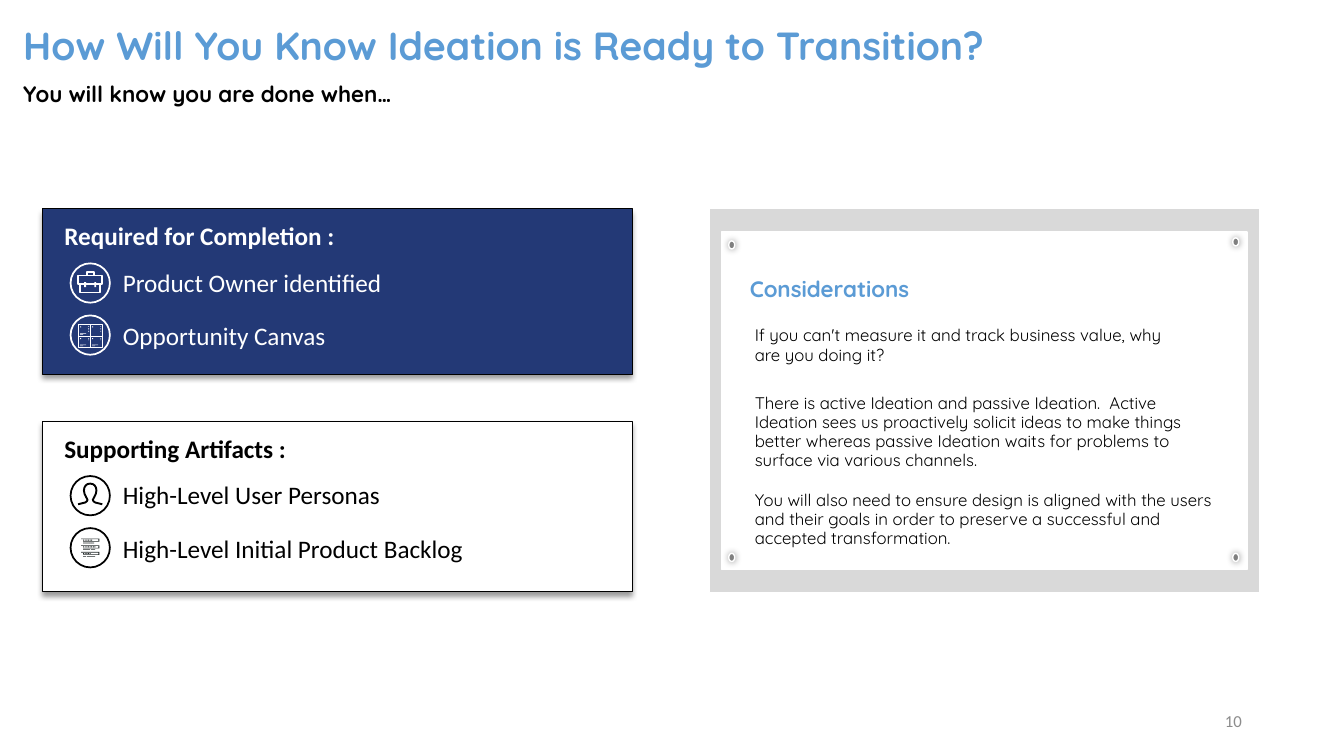
import collections
import pptx
import pptx.util
import pptx.dml.color
import pptx.enum.shapes
import pptx.enum.text
import pptx.oxml
import pptx.oxml.ns

CELL = pptx.util.Inches(1) / 12
COLS, ROWS = 160, 90
TONE = {"sky": "5B9BD5", "navy": "233976", "white": "FFFFFF", "black": "000000",
        "frame": "D9D9D9", "pin": "808080", "ink": "222829", "page": "8C8C8C"}
FORM = pptx.enum.shapes.MSO_SHAPE
SIDE = pptx.enum.text.PP_ALIGN
HOLD = pptx.enum.text.MSO_ANCHOR


class Box(collections.namedtuple("Box", "x y w h")):
    def inner(self, x, y, w, h):
        return Box(self.x + x, self.y + y, w, h)

    def tile(self, x, y, w, h):
        unit = self.w / 40
        return self.inner(x * unit, y * unit, w * unit, h * unit)

    def size(self):
        return [round(n * CELL) for n in self]


def hue(name):
    return pptx.dml.color.RGBColor.from_string(TONE[name])


def shade(shape, blur, dist):
    point = pptx.util.Pt(1)
    shape._element.spPr.append(pptx.oxml.parse_xml(
        f'<a:effectLst {pptx.oxml.ns.nsdecls("a")}>'
        f'<a:outerShdw blurRad="{blur * point}" dist="{dist * point}" dir="5400000" '
        f'algn="ctr" rotWithShape="0"><a:srgbClr val="{TONE["black"]}">'
        '<a:alpha val="40000"/></a:srgbClr></a:outerShdw></a:effectLst>'))


def paint(shape, fill=None, line=None, width=1):
    if fill:
        shape.fill.solid()
        shape.fill.fore_color.rgb = hue(fill)
    else:
        shape.fill.background()
    if line:
        shape.line.color.rgb = hue(line)
        shape.line.width = pptx.util.Pt(width)
    else:
        shape.line.fill.background()


def draw(pool, form, box, fill, line=None, width=1, cast=None):
    shape = pool.add_shape(form, *box.size())
    paint(shape, fill, line, width)
    if cast:
        shade(shape, *cast)
    else:
        shape.shadow.inherit = False


def trace(pool, box, spots, fill=None, line=None, width=1, close=False):
    unit = box.w / 40
    spots = [((box.x + x * unit) * CELL, (box.y + y * unit) * CELL) for x, y in spots]
    pen = pool.build_freeform(*spots[0], scale=1.0)
    pen.add_line_segments(spots[1:], close=close)
    shape = pen.convert_to_shape()
    paint(shape, fill, line, width)
    shape.shadow.inherit = False


def write(shape, lines, size, font, tone, bold=False, hold=HOLD.TOP, side=SIDE.LEFT,
          lead=None, gap=0):
    frame = shape.text_frame
    frame.word_wrap = True
    frame.auto_size = pptx.enum.text.MSO_AUTO_SIZE.NONE
    frame.vertical_anchor = hold
    for i, line in enumerate(lines):
        para = frame.add_paragraph() if i else frame.paragraphs[0]
        para.alignment = side
        para.space_before = pptx.util.Pt(gap if i else 0)
        if lead:
            para.line_spacing = lead
        run = para.add_run()
        run.text = line
        run.font.size = pptx.util.Pt(size)
        run.font.name = font
        run.font.bold = bold
        run.font.color.rgb = hue(tone)


def label(pool, box, *args, **look):
    write(pool.add_textbox(*box.size()), *args, **look)


def place(shape, box):
    shape.left, shape.top, shape.width, shape.height = box.size()


def head(slide, box):
    title, body = slide.shapes.title, slide.placeholders[1]
    place(title, box.inner(0, 0, 124.2, 6.12))
    write(title, ["How Will You Know Ideation is Ready to Transition?"],
          28, "Quicksand", "sky", True, HOLD.BOTTOM)
    place(body, box.inner(0, 6.24, box.w, 4.44))
    props = body.text_frame.paragraphs[0]._p.get_or_add_pPr()
    props.set("marL", "0")
    props.set("indent", "0")
    props.append(pptx.oxml.parse_xml(f'<a:buNone {pptx.oxml.ns.nsdecls("a")}/>'))
    write(body, ["You will know you are done when…"],
          16, "Quicksand", "black", True, HOLD.BOTTOM)


def case(pool, box, tone):
    for spots, close in (
            ([(8, 12.5), (32, 12.5), (32, 21), (8, 21)], True),
            ([(10, 21), (10, 29.5), (30, 29.5), (30, 21)], False),
            ([(16.5, 12.5), (16.5, 9), (23.5, 9), (23.5, 12.5)], False)):
        trace(pool, box, spots, line=tone, width=1.25, close=close)
    for x in (14, 24):
        draw(pool, FORM.RECTANGLE, box.tile(x, 19, 2, 5), tone)


def canvas(pool, box, tone):
    for col in (0, 1):
        for row in (0, 1):
            pane = box.tile(8 + col * 12, 9.5 + row * 11.5, 40, 40)
            trace(pool, pane, [(0, 0), (12, 0), (12, 11.5), (0, 11.5)],
                  line=tone, width=0.5, close=True)
            marks = [(2, 2, 1, 1)] + [(10, y, 1, 0.5) for y in (2, 3.5, 5, 6.5)[:4 - row * 2]]
            if row or not col:
                marks += [(2, 8.5, 6, 0.5), (2, 9.5, 3, 0.5)]
            for mark in marks:
                draw(pool, FORM.RECTANGLE, pane.tile(*mark), tone)


def face(pool, box, tone):
    half = [(12, 28.5), (8, 27.5), (5, 26.8), (3.2, 25.5), (2.6, 24), (4, 21.5),
            (5.6, 18), (6.2, 15), (5.8, 12.2), (4.6, 10), (2.6, 8.5), (0, 8)]
    spots = [(20 - x, y) for x, y in half] + [(20 + x, y) for x, y in half[-2::-1]]
    trace(pool, box, spots, line=tone, width=1.35)


def backlog(pool, box, tone):
    rows = ((6, ((13, 6), (19, 2), (21, 3))), (8, ((13, 7), (21, 4))),
            (5, ((13, 3), (17, 8))))
    for i, (dots, bars) in enumerate(rows):
        strip = box.tile(0, 11 + i * 6.6, 40, 40)
        trace(pool, strip, [(29, 3), (13, 3), (13, 2.5), (28, 2.5), (28, 0.6),
                            (11, 0.6), (11, 0), (29, 0)], fill="ink", close=True)
        for dot in range(dots):
            draw(pool, FORM.RECTANGLE, strip.tile(13 + dot * 1.6, 1, 1, 1), "ink")
        for x, wide in bars:
            draw(pool, FORM.RECTANGLE, strip.tile(x, 4, wide, 0.6), "ink")


def card(slide, box, title, items, fill, tone):
    pool = slide.shapes
    draw(pool, FORM.RECTANGLE, box, fill, "black", 0.25, (4, 3))
    label(pool, box.inner(1.44, 0.84, 64.08, 4.8), [title], 18, "Calibri", tone, True)
    for i, (text, icon) in enumerate(items):
        label(pool, box.inner(8.4, 6.36 * (i + 1), 58.2, 4.8), [text], 18, "Calibri", tone)
        spot = box.inner(3.3, 6.45 + 6.2 * i, 4.8, 4.8)
        group = pool.add_group_shape().shapes
        draw(group, FORM.OVAL, spot.tile(0.5, 0.5, 39, 39), fill, tone, 1.25)
        icon(group, spot, tone)


def board(slide, box):
    pool = slide.shapes.add_group_shape().shapes
    draw(pool, FORM.RECTANGLE, box, "frame", "white")
    draw(pool, FORM.RECTANGLE, box.inner(1.44, 2.76, 62.52, 40.2), "white", "white")
    for x, y in ((2.28, 3.84), (62.28, 3.48), (2.28, 41.04), (62.28, 41.04)):
        draw(pool, FORM.OVAL, box.inner(x, y, 0.72, 0.96), "pin", "white", 1, (5, 0))
    label(pool, box.inner(3.6, 7.32, 24.12, 4.44), ["Considerations"],
          16, "Quicksand", "sky", True, HOLD.BOTTOM)
    label(pool, box.inner(4.2, 12, 54.36, 7.2),
          ["If you can't measure it and track business value, why are you doing it?"],
          12, "Quicksand", "black", hold=HOLD.BOTTOM, lead=0.95)
    label(pool, box.inner(4.2, 21.48, 58.2, 19.56), [
        "There is active Ideation and passive Ideation.  Active Ideation sees us "
        "proactively solicit ideas to make things better whereas passive Ideation "
        "waits for problems to surface via various channels.",
        "You will also need to ensure design is aligned with the users and their "
        "goals in order to preserve a successful and accepted transformation."],
        12, "Quicksand", "black", hold=HOLD.BOTTOM, lead=0.95, gap=14.5)


def main():
    deck = pptx.Presentation()
    deck.slide_width, deck.slide_height = round(COLS * CELL), round(ROWS * CELL)
    slide = deck.slides.add_slide(deck.slide_layouts[1])
    head(slide, Box(1.56, 2.64, 147.48, 10.68))
    board(slide, Box(84.48, 24.84, 65.52, 45.72))
    card(slide, Box(5.04, 24.84, 70.2, 19.68), "Required for Completion :",
         [("Product Owner identified", case), ("Opportunity Canvas", canvas)],
         "navy", "white")
    card(slide, Box(5.04, 50.16, 70.2, 20.28), "Supporting Artifacts :",
         [("High-Level User Personas", face),
          ("High-Level Initial Product Backlog", backlog)], "white", "black")
    label(slide.shapes, Box(113.04, 83.4, 36, 4.8), ["10"], 12, "Calibri", "page",
          hold=HOLD.MIDDLE, side=SIDE.RIGHT)
    deck.save("out.pptx")


if __name__ == "__main__":
    main()
